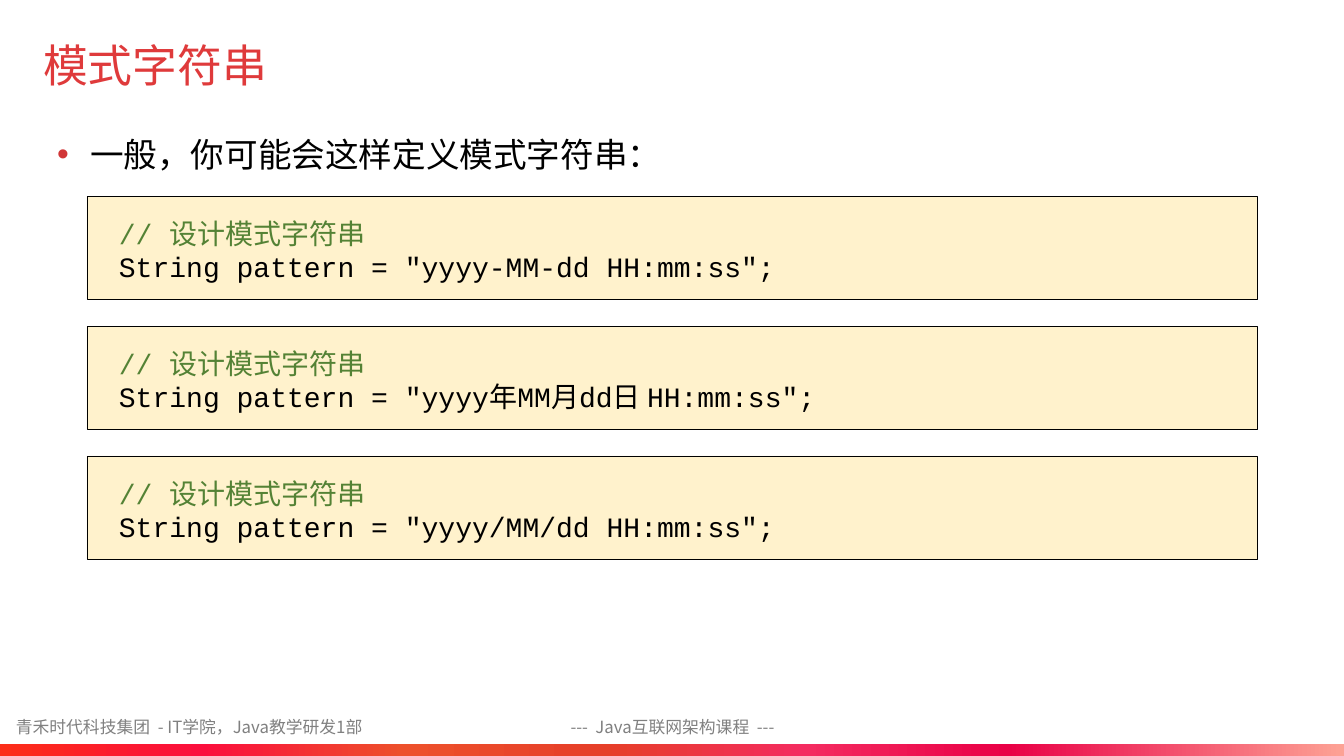
"""Builds the slide on date pattern strings with three code boxes."""
import pptx
import pptx.util
import pptx.dml.color
import pptx.enum.shapes
import pptx.enum.text
import pptx.oxml
import pptx.oxml.ns
import lxml.etree

SCALE = 914400 / 100.8
SANS, MONO = "Noto Sans CJK SC", "Courier New"
TITLE = "模式字符串"
LEAD = "一般，你可能会这样定义模式字符串："
COMMENT = "// 设计模式字符串"
PATTERNS = ["yyyy-MM-dd HH:mm:ss", "yyyy年MM月dd日 HH:mm:ss", "yyyy/MM/dd HH:mm:ss"]
FOOTERS = [
    ("青禾时代科技集团  - IT学院，Java教学研发1部", (6, 711, 446, 31), "LEFT"),
    ("---  Java互联网架构课程  ---", (499, 711, 347, 32), "CENTER"),
]
BAND_STOPS = [(0, "FC2D18"), (15, "FB0F3D"), (30, "ED502B"), (45, "E63F29"),
              (60, "F42B60"), (75, "E90046"), (100, "FDA295")]
BOX_LEFT, BOX_TOP, BOX_WIDTH, BOX_HEIGHT, BOX_STEP = 87, 196, 1170, 103, 130


def px(length):
    return pptx.util.Emu(round(length * SCALE))


def color(value):
    return pptx.dml.color.RGBColor.from_string(value)


def add_element(parent, tag, **attributes):
    return lxml.etree.SubElement(parent, pptx.oxml.ns.qn(tag), attributes)


def place(shape, box):
    shape.left, shape.top, shape.width, shape.height = map(px, box)


def style(paragraph, size, font, value, align="LEFT"):
    paragraph.alignment = getattr(pptx.enum.text.PP_ALIGN, align)
    for run in paragraph.runs:
        run.font.size = pptx.util.Pt(size)
        run.font.name = font
        run.font.color.rgb = color(value)
        add_element(run.font._element, "a:ea", typeface=SANS)


def add_rectangle(slide, box):
    shape = slide.shapes.add_shape(pptx.enum.shapes.MSO_SHAPE.RECTANGLE, *map(px, box))
    shape.shadow.inherit = False
    return shape


def add_footer(slide, text, box, align):
    frame = slide.shapes.add_textbox(*map(px, box)).text_frame
    frame.word_wrap = True
    frame.vertical_anchor = pptx.enum.text.MSO_ANCHOR.MIDDLE
    frame.text = text
    style(frame.paragraphs[0], 12, SANS, "808080", align)


def add_band(slide):
    band = add_rectangle(slide, (0, 744, 1344, 12))
    band.line.fill.background()
    band.fill.gradient()
    band.fill.gradient_angle = 0
    stops = band._element.spPr.find(".//" + pptx.oxml.ns.qn("a:gsLst"))
    for stop in list(stops):
        stops.remove(stop)
    for position, value in BAND_STOPS:
        stop = add_element(stops, "a:gs", pos=str(position * 1000))
        add_element(stop, "a:srgbClr", val=value)


def fill_title(title):
    place(title, (33, 29, 992, 72))
    frame = title.text_frame
    frame.text = TITLE
    frame.vertical_anchor = pptx.enum.text.MSO_ANCHOR.MIDDLE
    style(frame.paragraphs[0], 32, SANS, "DF3A3B")


def fill_body(body):
    place(body, (47, 125, 1250, 72))
    frame = body.text_frame
    frame.text = LEAD
    frame.auto_size = pptx.enum.text.MSO_AUTO_SIZE.NONE
    paragraph = frame.paragraphs[0]
    style(paragraph, 24, SANS, "000000")
    paragraph.line_spacing = 1.1
    paragraph.space_before = pptx.util.Pt(10)
    properties = paragraph._element.get_or_add_pPr()
    properties.set("marL", str(px(33)))
    properties.set("indent", str(-px(33)))
    add_element(add_element(properties, "a:buClr"), "a:srgbClr", val="D13637")
    add_element(properties, "a:buFont", typeface="Arial")
    add_element(properties, "a:buChar", char="•")


def add_code(slide, top, pattern):
    shape = add_rectangle(slide, (BOX_LEFT, top, BOX_WIDTH, BOX_HEIGHT))
    shape.fill.solid()
    shape.fill.fore_color.rgb = color("FFF2CC")
    shape.line.color.rgb = color("000000")
    shape.line.width = pptx.util.Pt(0.5)
    frame = shape.text_frame
    frame.margin_left = frame.margin_right = px(32)
    frame.margin_top = frame.margin_bottom = px(20)
    frame.vertical_anchor = pptx.enum.text.MSO_ANCHOR.TOP
    frame.text = f'{COMMENT}\nString pattern = "{pattern}";'
    for paragraph, value in zip(frame.paragraphs, ("548235", "000000")):
        style(paragraph, 20, MONO, value)


presentation = pptx.Presentation()
presentation.slide_width, presentation.slide_height = px(1344), px(756)
slide = presentation.slides.add_slide(presentation.slide_layouts[1])
for footer in FOOTERS:
    add_footer(slide, *footer)
add_band(slide)
fill_title(slide.shapes.title)
fill_body(slide.placeholders[1])
for index, pattern in enumerate(PATTERNS):
    add_code(slide, BOX_TOP + index * BOX_STEP, pattern)
presentation.save("out.pptx")
